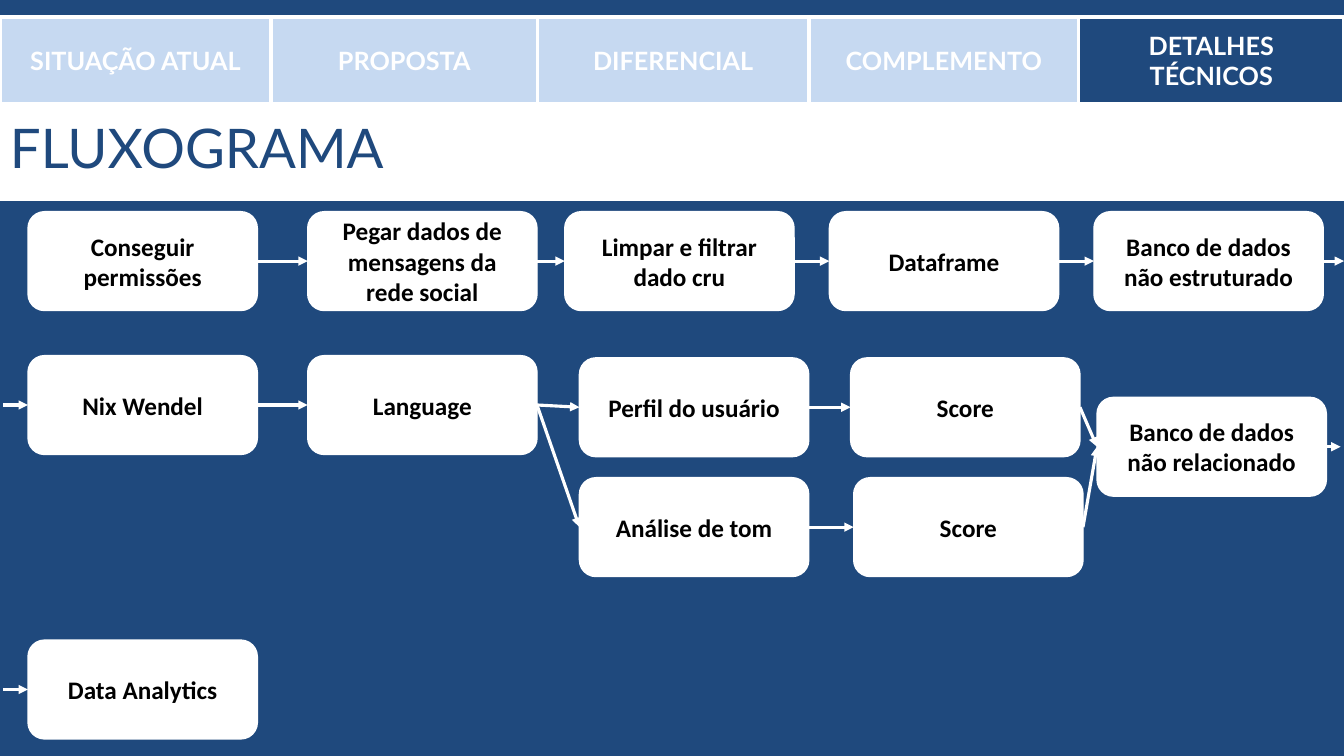
from itertools import pairwise

from lxml.etree import SubElement
from pptx import Presentation
from pptx.dml.color import RGBColor
from pptx.enum.shapes import MSO_CONNECTOR, MSO_SHAPE
from pptx.enum.text import MSO_ANCHOR, PP_ALIGN
from pptx.oxml.ns import qn
from pptx.util import Pt

NAVY, PALE, WHITE, BLACK = "1F497D", "C6D9F1", "FFFFFF", "000000"
SLIDE_WIDTH, SLIDE_HEIGHT = 960, 540

TABS = ["SITUAÇÃO ATUAL", "PROPOSTA", "DIFERENCIAL", "COMPLEMENTO", "DETALHES TÉCNICOS"]
CURRENT_TAB = "DETALHES TÉCNICOS"
TAB_EDGES = [0, 193.6, 383.9, 577.9, 770.4, 960]
TAB_TOP, TAB_HEIGHT = 12.2, 61.9
TITLE = "FLUXOGRAMA"

STEP_WIDTH, STEP_HEIGHT = 163.8, 70.6
STEPS = {
    "permissions": ("Conseguir permissões", 20, 151.2),
    "messages": ("Pegar dados de mensagens da rede social", 219.8, 151.2),
    "cleaning": ("Limpar e filtrar dado cru", 403.4, 151.2),
    "dataframe": ("Dataframe", 592.4, 151.2),
    "unstructured": ("Banco de dados não estruturado", 781.4, 151.2),
    "assistant": ("Nix Wendel", 20, 254),
    "language": ("Language", 219.8, 254),
    "profile": ("Perfil do usuário", 413.9, 255.6),
    "profile_score": ("Score", 607.6, 255.6),
    "tone": ("Análise de tom", 413.9, 341.2),
    "tone_score": ("Score", 609.8, 341.2),
    "unrelated": ("Banco de dados não relacionado", 783.6, 283.8),
    "analytics": ("Data Analytics", 20, 457.2),
}
FLOWS = [
    ["permissions", "messages", "cleaning", "dataframe", "unstructured"],
    ["assistant", "language", "profile", "profile_score", "unrelated"],
    ["language", "tone", "tone_score", "unrelated"],
]
ENTRIES = {"assistant": 2.2, "analytics": 2.2}
EXITS = {"unstructured": 960, "unrelated": 957.6}
LEFT_SIDE, RIGHT_SIDE = 1, 3


def color(hex_value):
    return RGBColor.from_string(hex_value)


def write(shape, text, size, font, ink, bold=False, align=PP_ALIGN.CENTER, spacing=None):
    frame = shape.text_frame
    frame.word_wrap = True
    frame.vertical_anchor = MSO_ANCHOR.MIDDLE
    paragraph = frame.paragraphs[0]
    paragraph.alignment = align
    paragraph.line_spacing = spacing
    run = paragraph.add_run()
    run.text = text
    for attribute, value in {"size": Pt(size), "name": font, "bold": bold}.items():
        setattr(run.font, attribute, value)
    run.font.color.rgb = color(ink)


def add_box(kind, left, top, width, height, fill, line_width=None):
    box = slide.shapes.add_shape(kind, Pt(left), Pt(top), Pt(width), Pt(height))
    box.shadow.inherit = False
    box.fill.solid()
    box.fill.fore_color.rgb = color(fill)
    if line_width:
        box.line.color.rgb = color(WHITE)
        box.line.width = Pt(line_width)
    else:
        box.line.fill.background()
    return box


def add_arrow(source=None, target=None, start_x=0, end_x=0):
    anchor = source or target
    y = anchor.top + anchor.height // 2
    arrow = slide.shapes.add_connector(MSO_CONNECTOR.STRAIGHT, Pt(start_x), y, Pt(end_x), y)
    if source:
        arrow.begin_connect(source, RIGHT_SIDE)
    if target:
        arrow.end_connect(target, LEFT_SIDE)
    arrow.line.color.rgb = color(WHITE)
    arrow.line.width = Pt(2.25)
    properties = arrow._element.spPr
    SubElement(properties.find(qn("a:ln")), qn("a:tailEnd"), type="triangle")
    SubElement(properties, qn("a:effectLst"))


presentation = Presentation()
presentation.slide_width = Pt(SLIDE_WIDTH)
presentation.slide_height = Pt(SLIDE_HEIGHT)
slide = presentation.slides.add_slide(presentation.slide_layouts[6])
slide.background.fill.solid()
slide.background.fill.fore_color.rgb = color(NAVY)

add_box(MSO_SHAPE.RECTANGLE, 0, 13.7, SLIDE_WIDTH, 129.8, WHITE)
for label, (left, right) in zip(TABS, pairwise(TAB_EDGES)):
    fill = NAVY if label == CURRENT_TAB else PALE
    tab = add_box(MSO_SHAPE.RECTANGLE, left, TAB_TOP, right - left, TAB_HEIGHT, fill, 2.25)
    write(tab, label, 18, "Lato", WHITE, bold=True)

title = slide.shapes.add_textbox(Pt(0), Pt(80.6), Pt(725.8), Pt(55.4))
write(title, TITLE, 39, "Lato", NAVY, align=PP_ALIGN.LEFT, spacing=0.85)

boxes = {}
for step, (label, left, top) in STEPS.items():
    boxes[step] = add_box(MSO_SHAPE.ROUNDED_RECTANGLE, left, top, STEP_WIDTH, STEP_HEIGHT, WHITE, 1)
    write(boxes[step], label, 18, "Calibri", BLACK, bold=True)

for flow in FLOWS:
    for source, target in pairwise(flow):
        add_arrow(boxes[source], boxes[target])
for step, start_x in ENTRIES.items():
    add_arrow(target=boxes[step], start_x=start_x)
for step, end_x in EXITS.items():
    add_arrow(source=boxes[step], end_x=end_x)

presentation.save("out.pptx")
